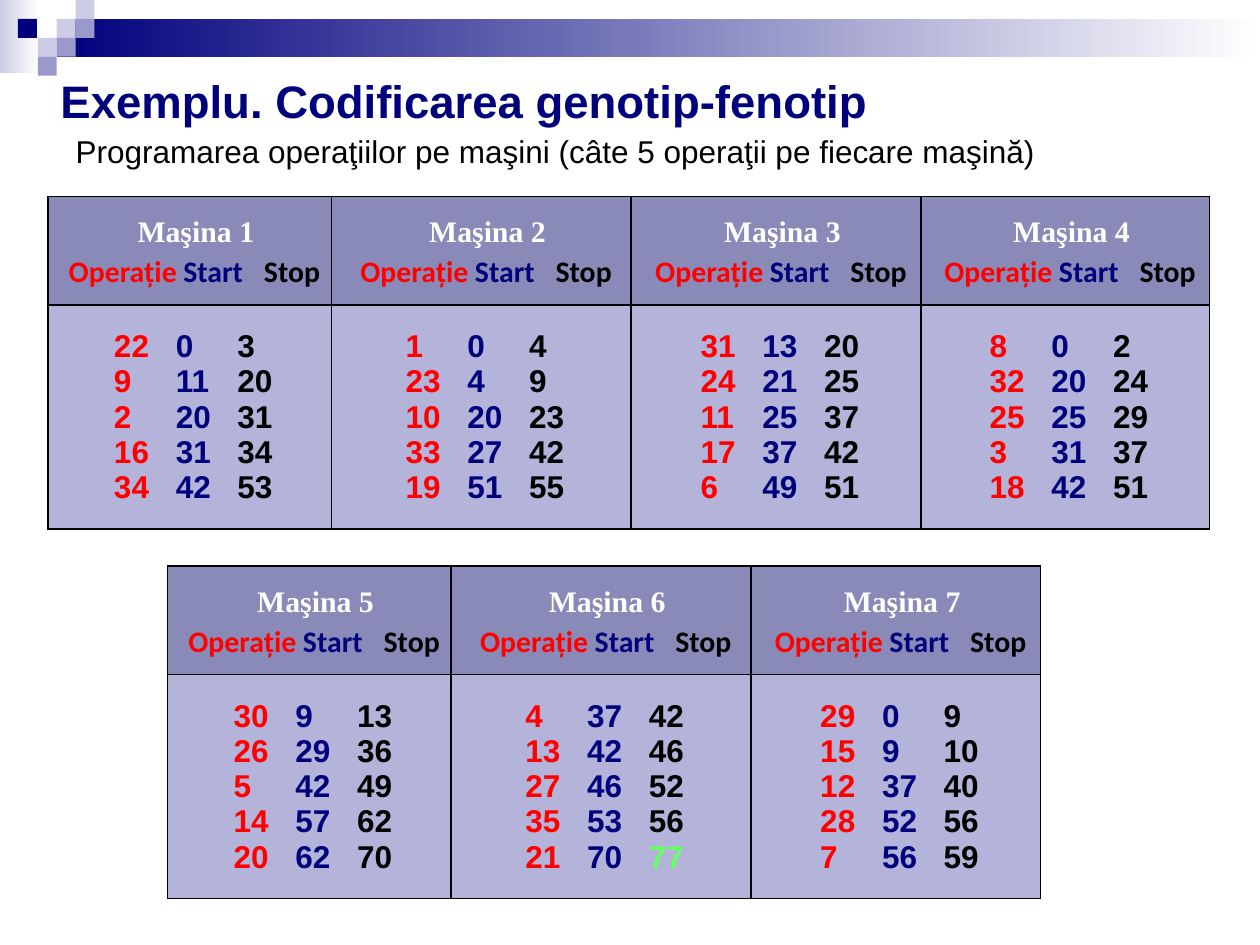
from lxml.etree import SubElement
from pptx import Presentation
from pptx.dml.color import RGBColor
from pptx.enum.shapes import MSO_SHAPE
from pptx.enum.text import MSO_ANCHOR, PP_ALIGN
from pptx.oxml.ns import qn
from pptx.util import Inches, Pt

WIDTH, HEIGHT = Inches(10), Inches(7.5)
NAVY, RED, BLACK, WHITE, GREEN = "00007D", "FF0000", "000000", "FFFFFF", "66FF66"
LILAC, VIOLET = "CCCCE6", "9999CC"
HEADER_FILL, BODY_FILL = "8A8AB9", "B4B4DA"
FIELD_COLOURS = (RED, NAVY, BLACK)
FIELDS = ("Operație", "Start", "Stop")
LAST_STOP = 77  # end of the whole schedule, highlighted

# Column widths and row heights in percent of the slide
MACHINE_COLUMNS = (22.5, 23.8, 23, 22.9)
MACHINE_ROWS = (11.5, 23.7)

# Each machine: (operation, start, stop)
MACHINES = {
    "Maşina 1": [(22, 0, 3), (9, 11, 20), (2, 20, 31), (16, 31, 34), (34, 42, 53)],
    "Maşina 2": [(1, 0, 4), (23, 4, 9), (10, 20, 23), (33, 27, 42), (19, 51, 55)],
    "Maşina 3": [(31, 13, 20), (24, 21, 25), (11, 25, 37), (17, 37, 42), (6, 49, 51)],
    "Maşina 4": [(8, 0, 2), (32, 20, 24), (25, 25, 29), (3, 31, 37), (18, 42, 51)],
    "Maşina 5": [(30, 9, 13), (26, 29, 36), (5, 42, 49), (14, 57, 62), (20, 62, 70)],
    "Maşina 6": [(4, 37, 42), (13, 42, 46), (27, 46, 52), (35, 53, 56), (21, 70, 77)],
    "Maşina 7": [(29, 0, 9), (15, 9, 10), (12, 37, 40), (28, 52, 56), (7, 56, 59)],
}


def colour(value):
    return RGBColor.from_string(value)


def across(percent):
    return round(WIDTH * percent / 100)


def down(percent):
    return round(HEIGHT * percent / 100)


def set_font(paragraph, name, size, bold=True):
    paragraph.font.name = name
    paragraph.font.size = Pt(size)
    paragraph.font.bold = bold


def add_run(paragraph, text, value):
    run = paragraph.add_run()
    run.text = text
    run.font.color.rgb = colour(value)


# Decoration: a grid of small squares, a fading band and a fading corner
def add_decoration(slide, unit):
    def block(col, row, cols, rows, start, end=None):
        shape = slide.shapes.add_shape(
            MSO_SHAPE.RECTANGLE, *(round(unit * n) for n in (col, row, cols, rows)))
        shape.shadow.inherit = False
        shape.line.fill.background()
        if end is None:
            shape.fill.solid()
            shape.fill.fore_color.rgb = colour(start)
            return
        shape.fill.gradient()
        shape.fill.gradient_angle = 0
        for stop, position, value in zip(shape.fill.gradient_stops, (0, 1), (start, end)):
            stop.position = position
            stop.color.rgb = colour(value)

    block(0, 0, 2.07, 3.87, LILAC, WHITE)
    block(3, 1, WIDTH / unit - 3, 2, NAVY, WHITE)
    for col, row, value in ((3, 1, LILAC), (4, 0, LILAC), (4, 1, VIOLET), (2, 2, LILAC),
                            (0.95, 1, NAVY), (3, 2, VIOLET), (2, 3, VIOLET)):
        block(col, row, 1, 1, value)


# Title and subtitle in the template's placeholders
def fill_placeholder(holder, box, text, size, value, bold, anchor):
    left, top, width, height = box
    holder.left, holder.top = across(left), down(top)
    holder.width, holder.height = across(width), down(height)
    frame = holder.text_frame
    frame.vertical_anchor = anchor
    paragraph = frame.paragraphs[0]
    properties = paragraph._p.get_or_add_pPr()
    properties.set("marL", "0")
    properties.set("indent", "0")
    SubElement(properties, qn("a:buNone"))
    paragraph.alignment = PP_ALIGN.LEFT
    paragraph.space_before = Pt(0)
    set_font(paragraph, "Arial", size, bold)
    add_run(paragraph, text, value)


# Tables of machines
def style_cell(cell, fill, column_width, left_reach, right_reach):
    """Fill, frame and inset a cell; reaches are measured from its middle."""
    cell.vertical_anchor = MSO_ANCHOR.MIDDLE
    cell.margin_top = cell.margin_bottom = 0
    cell.margin_left = column_width // 2 - Inches(left_reach)
    cell.margin_right = column_width // 2 - Inches(right_reach)
    properties = cell._tc.get_or_add_tcPr()
    for side in ("a:lnL", "a:lnR", "a:lnT", "a:lnB"):
        line = SubElement(properties, qn(side), w=str(Pt(1)))
        SubElement(SubElement(line, qn("a:solidFill")), qn("a:srgbClr"), val=BLACK)
    cell.fill.solid()
    cell.fill.fore_color.rgb = colour(fill)


def write_fields(paragraph, fields, stops, name, size):
    tabs = SubElement(paragraph._p.get_or_add_pPr(), qn("a:tabLst"))
    for stop in stops:
        SubElement(tabs, qn("a:tab"), pos=str(Inches(stop)), algn="l")
    paragraph.alignment = PP_ALIGN.LEFT
    set_font(paragraph, name, size)
    for index, (field, value) in enumerate(zip(fields, FIELD_COLOURS)):
        ending = "\t" if index < len(fields) - 1 else ""
        add_run(paragraph, f"{field}{ending}", GREEN if field == LAST_STOP else value)


def write_header(cell, machine, column_width):
    style_cell(cell, HEADER_FILL, column_width, 0.96, 1.06)
    heading = cell.text_frame.paragraphs[0]
    heading.alignment = PP_ALIGN.CENTER
    set_font(heading, "Times New Roman", 17)
    add_run(heading, machine, WHITE)
    labels = cell.text_frame.add_paragraph()
    write_fields(labels, FIELDS, (0.91, 1.55), "Calibri", 17)
    heading.line_spacing = labels.line_spacing = 1.15


def write_schedule(cell, operations, column_width):
    style_cell(cell, BODY_FILL, column_width, 0.6, 1)
    frame = cell.text_frame
    for index, operation in enumerate(operations):
        paragraph = frame.add_paragraph() if index else frame.paragraphs[0]
        write_fields(paragraph, operation, (0.49, 0.98), "Arial", 18)


def add_machines(slide, left, top, machines):
    widths = [across(width) for width in MACHINE_COLUMNS[:len(machines)]]
    heights = [down(height) for height in MACHINE_ROWS]
    table = slide.shapes.add_table(2, len(machines), across(left), down(top),
                                   sum(widths), sum(heights)).table
    for row, height in zip(table.rows, heights):
        row.height = height
    for index, (machine, width) in enumerate(zip(machines, widths)):
        table.columns[index].width = width
        write_header(table.cell(0, index), machine, width)
        write_schedule(table.cell(1, index), MACHINES[machine], width)


def main():
    deck = Presentation()
    deck.slide_width, deck.slide_height = WIDTH, HEIGHT
    slide = deck.slides.add_slide(deck.slide_layouts[1])
    add_decoration(slide, Inches(0.15))
    fill_placeholder(slide.shapes.title, (3.8, 4.4, 92.5, 12.5),
                     "Exemplu. Codificarea genotip-fenotip",
                     26, NAVY, True, MSO_ANCHOR.MIDDLE)
    fill_placeholder(slide.placeholders[1], (5, 13.3, 90, 77.1),
                     "Programarea operaţiilor pe maşini (câte 5 operaţii pe fiecare maşină)",
                     18, BLACK, False, MSO_ANCHOR.TOP)
    names = list(MACHINES)
    add_machines(slide, 3.8, 20.8, names[:4])
    add_machines(slide, 13.3, 59.9, names[4:])
    deck.save("out.pptx")


if __name__ == "__main__":
    main()
